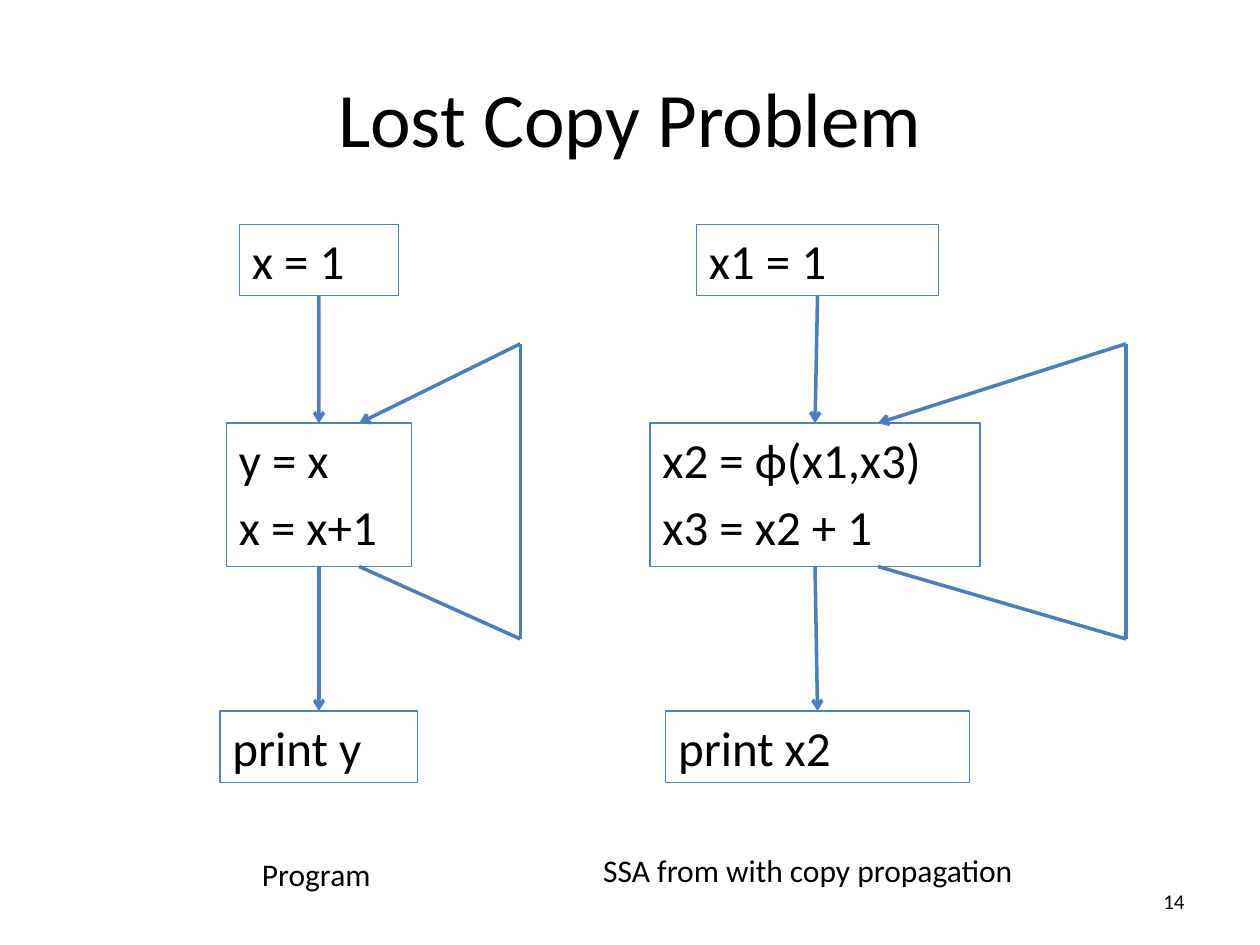
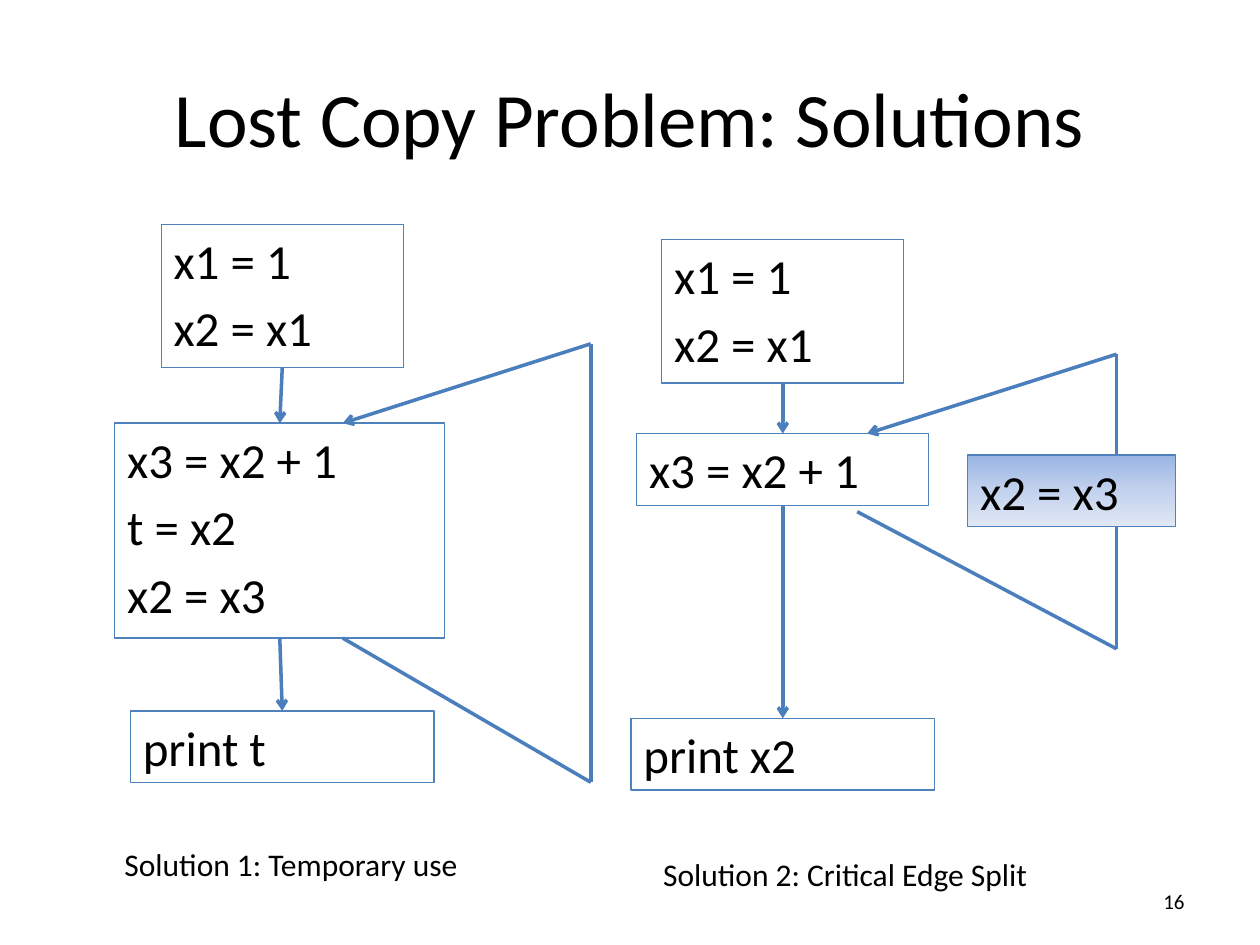
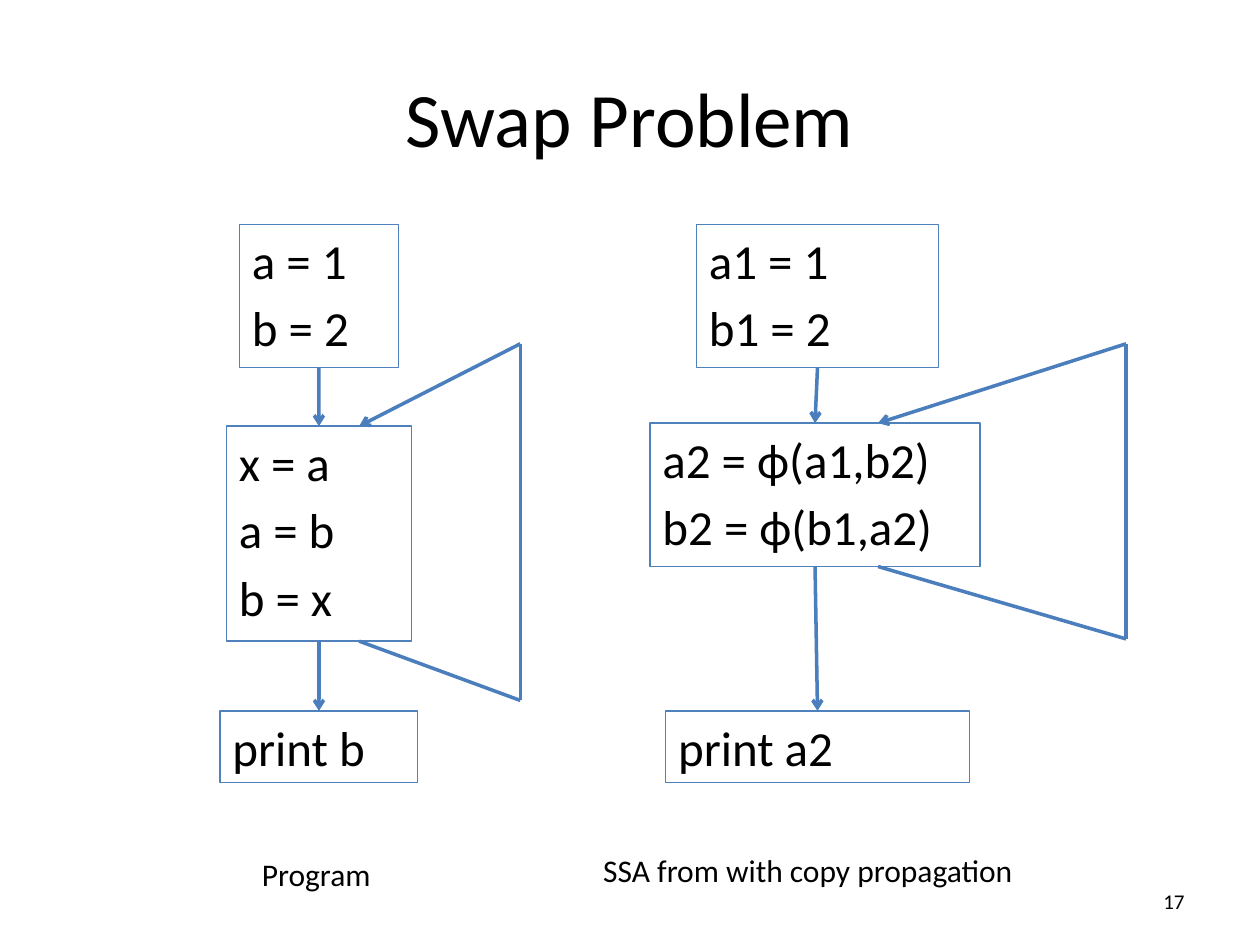
from copy import deepcopy
from dataclasses import dataclass, replace

from lxml.etree import SubElement
from pptx import Presentation
from pptx.dml.color import RGBColor
from pptx.enum.shapes import MSO_CONNECTOR, MSO_SHAPE
from pptx.enum.text import MSO_ANCHOR, PP_ALIGN
from pptx.oxml.ns import qn
from pptx.util import Cm, Pt

FONT = "Calibri"
INK = "000000"
OUTLINE = "4F81BD"
ARROW = "4B7EBC"
SPLIT_GRADIENT = ((0, "9AB5E4"), (0.5, "C2D1ED"), (1, "E1E8F5"))
LINE_HEIGHT = 1.445
TOP, BOTTOM = 0, 2


@dataclass(frozen=True)
class Flow:
    """Sizes in cm; heights count from the entry top, sideways offsets from the axis."""
    axis: float
    top: float = 4.52
    widths: tuple = (4.88, 6.65, 6.12)
    body_shift: float = 0
    body_top: float = 4.01
    exit_top: float = 9.81
    loop_in: float = 1.27
    loop_out: float = 1.27
    loop_out_gap: float = 0
    loop_side: float = 6.22
    loop_top: float = 2.41
    loop_bottom: float = 8.36
    caption: str = ""
    caption_at: tuple = (0, 12.6)
    caption_width: float = 9


PROGRAM = Flow(axis=6.43, widths=(3.2, 3.73, 3.99), loop_in=0.81, loop_out=0.81,
               loop_side=4.06, caption="Program", caption_at=(-1.4, 12.6),
               caption_width=2.97)
SSA = Flow(axis=16.48, body_shift=-0.05, caption="SSA from with copy propagation",
           caption_at=(-4.57, 12.52), caption_width=10.24)
TEMPORARY = Flow(axis=5.69, body_shift=-0.05, loop_bottom=11.25,
                 caption="Solution 1: Temporary use", caption_at=(-3.43, 12.4),
                 caption_width=8.25)
EDGE_SPLIT = Flow(axis=15.78, top=4.83, widths=(4.88, 5.89, 6.12), body_top=3.91,
                  exit_top=9.65, loop_in=1.7, loop_out=1.5, loop_out_gap=0.13,
                  loop_side=6.73, loop_top=2.31, loop_bottom=8.25,
                  caption="Solution 2: Critical Edge Split",
                  caption_at=(-2.66, 12.29), caption_width=9.4)


def color(hex_value):
    return RGBColor.from_string(hex_value)


def write(frame, lines, size, align=PP_ALIGN.LEFT, before=0, **frame_format):
    for key, value in frame_format.items():
        setattr(frame, key, value)
    frame.text = "\n".join(lines)
    for paragraph in frame.paragraphs:
        for key, value in {"alignment": align, "space_before": Pt(before)}.items():
            setattr(paragraph, key, value)
        for key, value in {"name": FONT, "size": Pt(size)}.items():
            setattr(paragraph.font, key, value)
        paragraph.font.color.rgb = color(INK)


def add_label(slide, box, text, size, **text_format):
    label = slide.shapes.add_textbox(*map(Cm, box))
    write(label.text_frame, [text], size, **text_format)


def add_block(slide, left, top, width, code):
    """Outlined rectangle whose height follows its lines of code."""
    block = slide.shapes.add_shape(MSO_SHAPE.RECTANGLE, Cm(left), Cm(top), Cm(width),
                                   Cm(LINE_HEIGHT * len(code)))
    block.shadow.inherit = False
    block.fill.background()
    block.line.color.rgb = color(OUTLINE)
    block.line.width = Pt(0.75)
    write(block.text_frame, code, 28, before=5, word_wrap=True,
          vertical_anchor=MSO_ANCHOR.TOP)
    return block


def add_edge(slide, start=(0, 0), end=(0, 0), arrow=False):
    edge = slide.shapes.add_connector(MSO_CONNECTOR.STRAIGHT, *map(Cm, (*start, *end)))
    edge.line.color.rgb = color(ARROW)
    edge.line.width = Pt(2)
    if arrow:
        SubElement(edge.line._get_or_add_ln(), qn("a:tailEnd"), type="arrow")
    SubElement(edge._element.spPr, qn("a:effectLst"))
    return edge


def add_flow(slide, flow, entry_code, body_code, exit_code):
    """Entry, looping body and exit stacked on one axis, with a caption below."""
    centers = (flow.axis, flow.axis + flow.body_shift, flow.axis)
    tops = [flow.top + offset for offset in (0, flow.body_top, flow.exit_top)]
    blocks = [add_block(slide, center - width / 2, top, width, code)
              for center, top, width, code in zip(centers, tops, flow.widths,
                                                  (entry_code, body_code, exit_code))]
    for upper, lower in zip(blocks, blocks[1:]):
        step = add_edge(slide, arrow=True)
        step.begin_connect(upper, BOTTOM)
        step.end_connect(lower, TOP)

    side = flow.axis + flow.loop_side
    corner_top = (side, flow.top + flow.loop_top)
    corner_bottom = (side, flow.top + flow.loop_bottom)
    body_bottom = tops[1] + LINE_HEIGHT * len(body_code)
    add_edge(slide, corner_top, (centers[1] + flow.loop_in, tops[1]), arrow=True)
    add_edge(slide, corner_top, corner_bottom)
    add_edge(slide, corner_bottom,
             (centers[1] + flow.loop_out, body_bottom + flow.loop_out_gap))

    dx, dy = flow.caption_at
    add_label(slide, (flow.axis + dx, flow.top + dy, flow.caption_width, 1.02),
              flow.caption, 18, word_wrap=False)


def add_split_block(slide, flow, code):
    """Shaded block that sits on the returning edge of the loop."""
    block = add_block(slide, flow.axis + 3.73, flow.top + 4.34, 4.19, code)
    block.fill.gradient()
    block.fill.gradient_angle = 270
    first = block._element.spPr.find(f".//{qn('a:gs')}")
    first.addnext(deepcopy(first))
    for stop, (position, shade) in zip(block.fill.gradient_stops, SPLIT_GRADIENT):
        stop.position = position
        stop.color.rgb = color(shade)


def add_page(deck, title, number):
    slide = deck.slides.add_slide(deck.slide_layouts[5])
    heading = slide.shapes.title
    for key, value in {"left": 1.27, "top": 0.76, "width": 22.86, "height": 3.18}.items():
        setattr(heading, key, Cm(value))
    write(heading.text_frame, [title], 44, align=PP_ALIGN.CENTER,
          vertical_anchor=MSO_ANCHOR.MIDDLE)
    add_label(slide, (18.2, 17.65, 5.93, 1.02), str(number), 12, align=PP_ALIGN.RIGHT,
              word_wrap=True, vertical_anchor=MSO_ANCHOR.MIDDLE)
    return slide


def main():
    deck = Presentation()
    deck.slide_width, deck.slide_height = Cm(25.4), Cm(19.05)

    problem = add_page(deck, "Lost Copy Problem", 14)
    add_flow(problem, SSA, ["x1 = 1"], ["x2 = ϕ(x1,x3)", "x3 = x2 + 1"], ["print x2"])
    add_flow(problem, PROGRAM, ["x = 1"], ["y = x", "x = x+1"], ["print y"])

    solutions = add_page(deck, "Lost Copy Problem: Solutions", 16)
    add_flow(solutions, TEMPORARY, ["x1 = 1", "x2 = x1"],
             ["x3 = x2 + 1", "t = x2", "x2 = x3"], ["print t"])
    add_flow(solutions, EDGE_SPLIT, ["x1 = 1", "x2 = x1"], ["x3 = x2 + 1"], ["print x2"])
    add_split_block(solutions, EDGE_SPLIT, ["x2 = x3"])

    swap = add_page(deck, "Swap Problem", 17)
    add_flow(swap, SSA, ["a1 = 1", "b1 = 2"], ["a2 = ϕ(a1,b2)", "b2 = ϕ(b1,a2)"],
             ["print a2"])
    add_flow(swap, replace(PROGRAM, body_top=4.07, loop_bottom=9.6), ["a = 1", "b = 2"],
             ["x = a", "a = b", "b = x"], ["print b"])

    deck.save("out.pptx")


if __name__ == "__main__":
    main()
